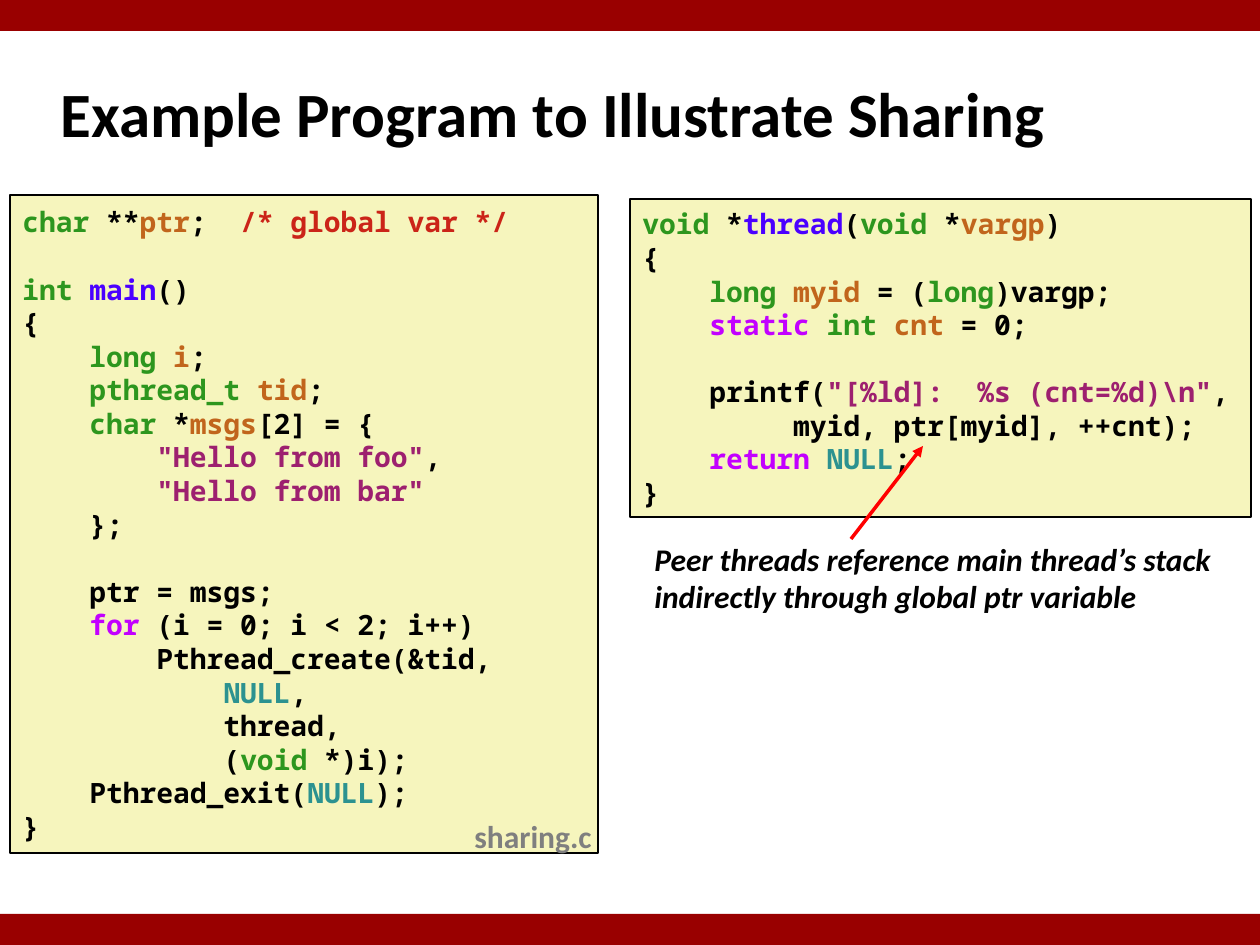
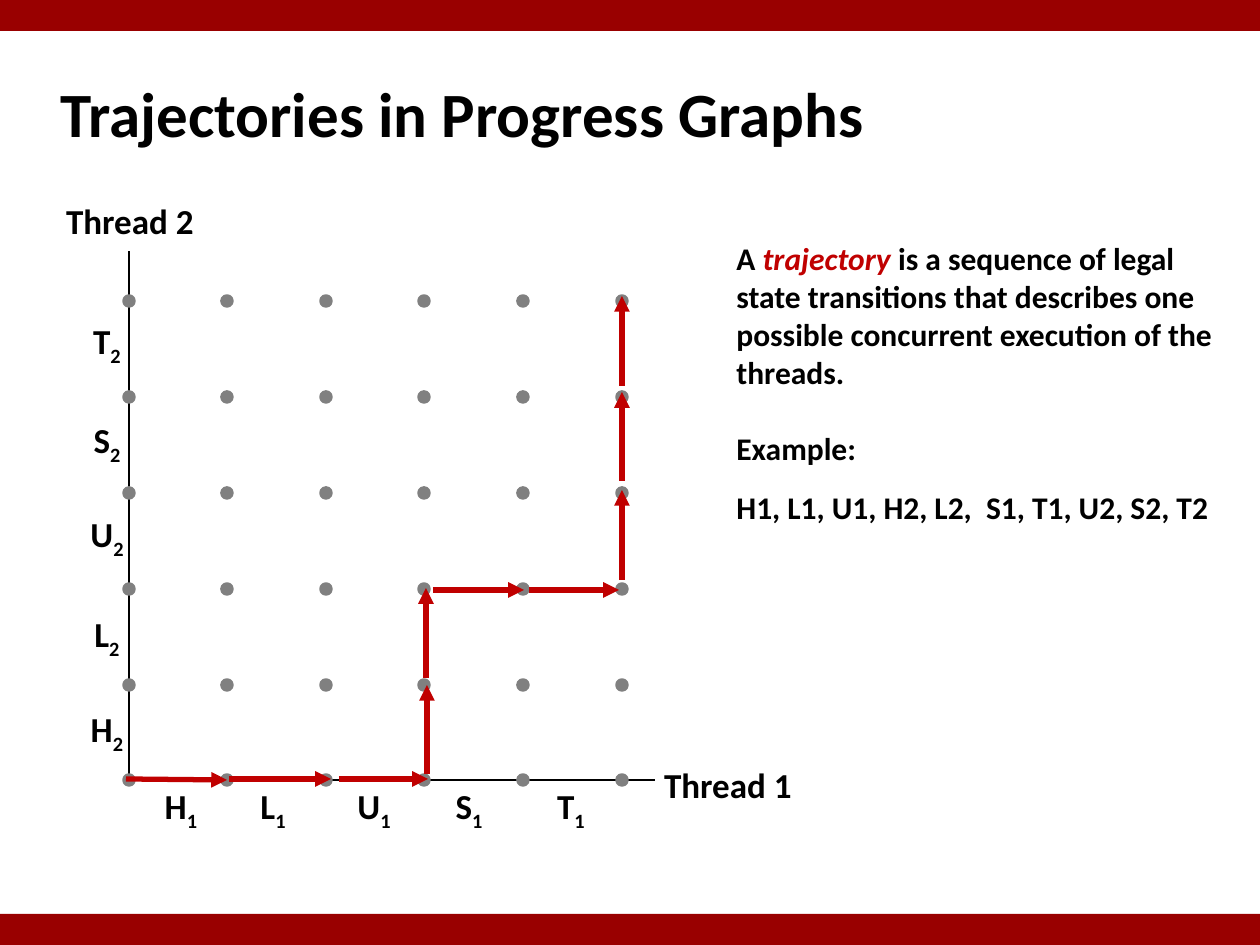
from pptx import Presentation
from pptx.dml.color import RGBColor
from pptx.enum.shapes import MSO_CONNECTOR, MSO_SHAPE
from pptx.enum.text import MSO_ANCHOR, PP_ALIGN
from pptx.oxml.ns import qn
from pptx.util import Pt
from lxml import etree

RECTANGLE = MSO_SHAPE.RECTANGLE
OVAL = MSO_SHAPE.OVAL
STRAIGHT = MSO_CONNECTOR.STRAIGHT
MIDDLE = MSO_ANCHOR.MIDDLE
LEFT = PP_ALIGN.LEFT
CENTER = PP_ALIGN.CENTER

PIXELS_PER_INCH = 126
PAGE_WIDTH, PAGE_HEIGHT = 1260, 945
BAND_HEIGHT = 31

BLACK = RGBColor(0x00, 0x00, 0x00)
BAND_RED = RGBColor(0x99, 0x00, 0x00)
PATH_RED = RGBColor(0xC0, 0x00, 0x00)
POINTER_RED = RGBColor(0xFF, 0x00, 0x00)
CODE_CREAM = RGBColor(0xF6, 0xF5, 0xBD)
FILE_GRAY = RGBColor(0x7F, 0x7F, 0x7F)
DOT_GRAY = RGBColor(0x80, 0x80, 0x80)

TEXT_FONT = "Calibri"
CODE_FONT = "Noto Sans Mono"
CODE_LINE = Pt(19.2)

SYNTAX = {
    "t": RGBColor(0x2D, 0x96, 0x1E),
    "v": RGBColor(0xC1, 0x65, 0x1C),
    "f": RGBColor(0x4A, 0x00, 0xFF),
    "k": RGBColor(0xC2, 0x00, 0xFF),
    "s": RGBColor(0x9D, 0x20, 0x6F),
    "n": RGBColor(0x2C, 0x92, 0x90),
    "c": RGBColor(0xCB, 0x24, 0x18),
}

MAIN_CODE = """t:char| **|v:ptr|;  |c:/* global var */

t:int |f:main|()
{
    |t:long |v:i|;
    |t:pthread_t |v:tid|;
    |t:char| *|v:msgs|[2] = {
        |s:"Hello from foo"|,
        |s:"Hello from bar"
    };

    ptr = msgs;
    |k:for| (i = 0; i < 2; i++)
        Pthread_create(&tid,
            |n:NULL|,
            thread,
            (|t:void| *)i);
    Pthread_exit(|n:NULL|);
}"""

THREAD_CODE = """t:void| *|f:thread|(|t:void| *|v:vargp|)
{
    |t:long |v:myid| = (|t:long|)vargp;
    |k:static |t:int |v:cnt| = 0;

    printf(|s:"[%ld]:  %s (cnt=%d)\\n"|,
         myid, ptr[myid], ++cnt);
    |k:return |n:NULL|;
}"""

GRID_STEPS = 5
GRID_WIDTH, GRID_HEIGHT = 493, 479
DOT_SIZE = 10
LABEL_WIDTH, LABEL_HEIGHT = 60, 55
THREAD_1_LABELS = [("H", 52), ("L", 144), ("U", 245), ("S", 340), ("T", 442)]
THREAD_2_LABELS = [("H", -76), ("L", -171), ("U", -271), ("S", -365), ("T", -464)]
TRAJECTORY = [
    (-3, -1, 98, 0),
    (100, -1, 202, -1),
    (210, -1, 299, -1),
    (298, -6, 298, -95),
    (297, -102, 297, -192),
    (304, -190, 395, -190),
    (400, -190, 490, -190),
    (493, -200, 493, -290),
    (493, -299, 493, -388),
    (493, -394, 493, -484),
]


def px(length):
    return round(length * 914400 / PIXELS_PER_INCH)


def add_span(para, text, size, color=BLACK, font=TEXT_FONT, italic=False):
    span = para.add_run()
    span.text = text
    span.font.name = font
    span.font.size = Pt(size)
    span.font.bold = True
    span.font.italic = italic
    span.font.color.rgb = color
    return span


def add_text_box(page, left, top, width, height, wrap=False, align=LEFT):
    box = page.shapes.add_textbox(px(left), px(top), px(width), px(height))
    frame = box.text_frame
    frame.word_wrap = wrap
    frame.vertical_anchor = MIDDLE
    frame.paragraphs[0].alignment = align
    return frame


def add_filled_shape(page, kind, left, top, width, height, fill, line=None, weight=1):
    shape = page.shapes.add_shape(kind, px(left), px(top), px(width), px(height))
    shape.shadow.inherit = False
    shape.fill.solid()
    shape.fill.fore_color.rgb = fill
    if line is None:
        shape.line.fill.background()
    else:
        shape.line.color.rgb = line
        shape.line.width = Pt(weight)
    return shape


def add_line(page, start_x, start_y, end_x, end_y, color, weight, arrow=False):
    line = page.shapes.add_connector(
        STRAIGHT, px(start_x), px(start_y), px(end_x), px(end_y))
    line.line.color.rgb = color
    line.line.width = Pt(weight)
    if arrow:
        outline = line.line._get_or_add_ln()
        etree.SubElement(outline, qn("a:tailEnd"), type="triangle")
    etree.SubElement(line._element.spPr, qn("a:effectLst"))


def add_page(deck, title):
    page = deck.slides.add_slide(deck.slide_layouts[6])
    for top in (0, PAGE_HEIGHT - BAND_HEIGHT):
        add_filled_shape(page, RECTANGLE, 0, top, PAGE_WIDTH, BAND_HEIGHT, BAND_RED)
    frame = add_text_box(page, 48, 60, 1172, 105)
    add_span(frame.paragraphs[0], title, 36)
    return page


def add_code_box(page, left, top, width, height, code):
    box = add_filled_shape(
        page, RECTANGLE, left, top, width, height, CODE_CREAM, BLACK)
    frame = box.text_frame
    frame.word_wrap = False
    frame.vertical_anchor = MIDDLE
    para = frame.paragraphs[0]
    after_gap = False
    for number, row in enumerate(code.split("\n")):
        if not row:
            after_gap = True
            continue
        if number:
            para = frame.add_paragraph()
        para.alignment = LEFT
        para.line_spacing = CODE_LINE
        if after_gap:
            para.space_before = CODE_LINE
            after_gap = False
        for piece in row.split("|"):
            if piece[1:2] == ":":
                add_span(para, piece[2:], 16, SYNTAX[piece[0]], CODE_FONT)
            else:
                add_span(para, piece, 16, BLACK, CODE_FONT)


def add_pointer_note(page, left, top):
    frame = add_text_box(page, left, top, 596, 89)
    add_span(frame.paragraphs[0], "Peer threads reference main thread’s stack",
             18, italic=True)
    add_span(frame.add_paragraph(), "indirectly through global ptr variable",
             18, italic=True)
    add_line(page, left + 209, top + 6, left + 281, top - 87, POINTER_RED, 2, True)


def add_axis_label(page, center_x, top, letter, thread):
    frame = add_text_box(page, center_x - LABEL_WIDTH // 2, top,
                         LABEL_WIDTH, LABEL_HEIGHT, align=CENTER)
    para = frame.paragraphs[0]
    add_span(para, letter, 20)
    subscript = add_span(para, thread, 20)
    subscript._r.get_or_add_rPr().set("baseline", "-25000")


def add_thread_name(page, left, top, name):
    frame = add_text_box(page, left, top, 154, LABEL_HEIGHT, align=CENTER)
    add_span(frame.paragraphs[0], name, 20)


def add_progress_graph(page, left, bottom):
    add_line(page, left, bottom, left + 526, bottom, BLACK, 1)
    add_line(page, left, bottom, left, bottom - 529, BLACK, 1)
    for letter, offset in THREAD_1_LABELS:
        add_axis_label(page, left + offset, bottom + 1, letter, "1")
    for letter, offset in THREAD_2_LABELS:
        add_axis_label(page, left - 22, bottom + offset, letter, "2")
    add_thread_name(page, left + 522, bottom - 23, "Thread 1")
    add_thread_name(page, left - 76, bottom - 587, "Thread 2")
    for column in range(GRID_STEPS + 1):
        center_x = left + GRID_WIDTH * column // GRID_STEPS
        for row in range(GRID_STEPS + 1):
            center_y = bottom - GRID_HEIGHT * row // GRID_STEPS
            add_filled_shape(page, OVAL, center_x - DOT_SIZE // 2,
                             center_y - DOT_SIZE // 2, DOT_SIZE, DOT_SIZE,
                             DOT_GRAY, DOT_GRAY, 2)
    for start_x, start_y, end_x, end_y in TRAJECTORY:
        add_line(page, left + start_x, bottom + start_y,
                 left + end_x, bottom + end_y, PATH_RED, 3, True)


def add_definition(page, left, top, width, height):
    frame = add_text_box(page, left, top, width, height, wrap=True)
    para = frame.paragraphs[0]
    add_span(para, "A ", 18)
    add_span(para, "trajectory", 18, PATH_RED, italic=True)
    add_span(para, " is a sequence of legal state transitions that describes one "
             "possible concurrent execution of the threads.", 18)
    for text, gap in (("Example:", 22),
                      ("H1, L1, U1, H2, L2,  S1, T1, U2, S2, T2", 12)):
        para = frame.add_paragraph()
        para.space_before = Pt(gap)
        add_span(para, text, 18)


def build_sharing_page(deck):
    page = add_page(deck, "Example Program to Illustrate Sharing")
    add_code_box(page, 10, 195, 588, 658, MAIN_CODE)
    add_code_box(page, 630, 199, 621, 318, THREAD_CODE)
    add_pointer_note(page, 642, 533)
    frame = add_text_box(page, 462, 810, 144, 51)
    add_span(frame.paragraphs[0], "sharing.c", 18, FILE_GRAY)


def build_trajectory_page(deck):
    page = add_page(deck, "Trajectories in Progress Graphs")
    add_definition(page, 724, 232, 526, 301)
    add_progress_graph(page, 129, 780)


def main():
    deck = Presentation()
    deck.slide_width = px(PAGE_WIDTH)
    deck.slide_height = px(PAGE_HEIGHT)
    build_sharing_page(deck)
    build_trajectory_page(deck)
    deck.save("out.pptx")


if __name__ == "__main__":
    main()
